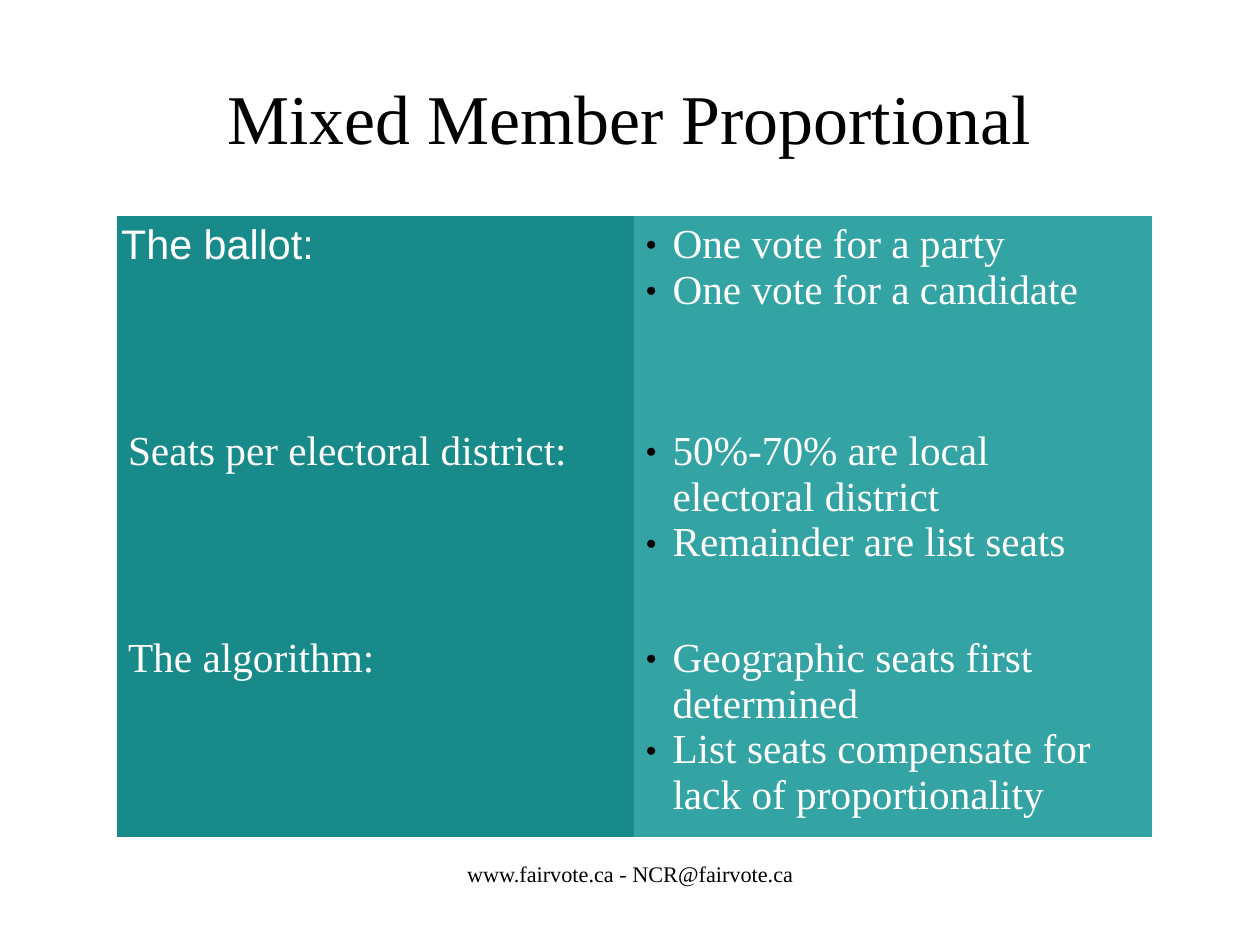
"""Build the Mixed Member Proportional slide."""
from lxml.etree import SubElement
from pptx import Presentation
from pptx.dml.color import RGBColor
from pptx.enum.text import MSO_ANCHOR as Anchor, PP_ALIGN as Align
from pptx.oxml.ns import qn
from pptx.util import Cm, Inches, Pt

TITLE = "Mixed Member Proportional"
FOOTER = "www.fairvote.ca - NCR@fairvote.ca"
FEATURES = [
    ("The ballot:", ["One vote for a party", "One vote for a candidate"]),
    ("Seats per electoral district:",
     ["50%-70% are local electoral district", "Remainder are list seats"]),
    ("The algorithm:",
     ["Geographic seats first determined",
      "List seats compensate for lack of proportionality"]),
]
SERIF, SANS = "Times New Roman", "Arial"
BLACK, WHITE, DARK_TEAL, TEAL = "000000", "FFFFFF", "198A8A", "33A3A3"
WIDTH, HEIGHT = Cm(28), Cm(21)
COLUMN, ROW = Cm(11.5), Cm(4.6)
HANG = Cm(0.6)
NO_GRID = "{2D5ABB26-0587-4C30-8999-92F81FD0307C}"


def color(code):
    return RGBColor.from_string(code)


def style(paragraph, size, code, face=SERIF, align=Align.LEFT):
    paragraph.alignment = align
    for run in paragraph.runs:
        run.font.size = Pt(size)
        run.font.name = face
        run.font.color.rgb = color(code)


def add_bullet(paragraph):
    props = paragraph._p.get_or_add_pPr()
    props.set("marL", str(HANG))
    props.set("indent", str(-HANG))
    tint = SubElement(props, qn("a:buClr"))
    SubElement(tint, qn("a:srgbClr"), val=BLACK)
    SubElement(props, qn("a:buSzPct"), val="45000")
    SubElement(props, qn("a:buFont"), typeface=SERIF)
    SubElement(props, qn("a:buChar"), char="●")


def fill_cell(cell, lines, background, face=SERIF, bulleted=False, inset=0.1):
    cell.fill.solid()
    cell.fill.fore_color.rgb = color(background)
    cell.margin_left = cell.margin_right = Inches(inset)
    cell.margin_top = cell.margin_bottom = Inches(0.05)
    cell.text_frame.text = "\n".join(lines)
    for paragraph in cell.text_frame.paragraphs:
        if bulleted:
            add_bullet(paragraph)
        style(paragraph, 26, WHITE, face)


def set_heading(shape, text, size, anchor):
    frame = shape.text_frame
    frame.word_wrap = True
    frame.vertical_anchor = anchor
    frame.margin_left = frame.margin_right = 0
    frame.margin_top = frame.margin_bottom = 0
    frame.text = text
    style(frame.paragraphs[0], size, BLACK, align=Align.CENTER)


def main():
    deck = Presentation()
    deck.slide_width, deck.slide_height = WIDTH, HEIGHT
    slide = deck.slides.add_slide(deck.slide_layouts[5])

    title = slide.shapes.title
    title.left, title.top = Inches(0.55), Inches(0.38)
    title.width, title.height = Inches(9.92), Inches(1.28)
    set_heading(title, TITLE, 44, Anchor.MIDDLE)

    features = slide.shapes.add_table(
        len(FEATURES), 2, Inches(1.02), Inches(1.89),
        2 * COLUMN, len(FEATURES) * ROW).table
    features.first_row = features.horz_banding = False
    features._tbl.tblPr.find(qn("a:tableStyleId")).text = NO_GRID
    for column in features.columns:
        column.width = COLUMN
    for index, (label, points) in enumerate(FEATURES):
        features.rows[index].height = ROW
        face, inset = (SERIF, 0.1) if index else (SANS, 0.04)
        fill_cell(features.cell(index, 0), [label], DARK_TEAL, face, inset=inset)
        fill_cell(features.cell(index, 1), points, TEAL, bulleted=True)

    footer = slide.shapes.add_textbox(
        Inches(3.77), Inches(7.53), Inches(3.49), Inches(0.57))
    set_heading(footer, FOOTER, 14, Anchor.TOP)
    deck.save("out.pptx")


if __name__ == "__main__":
    main()
